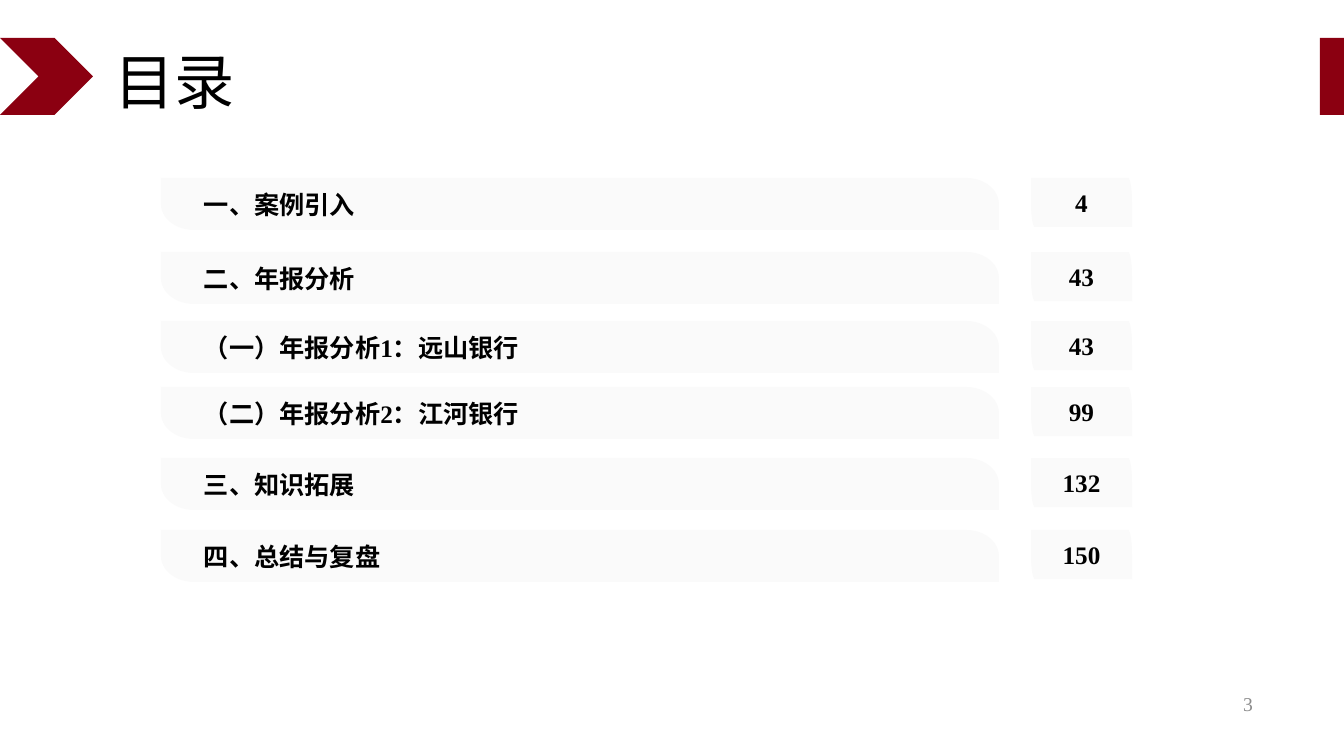
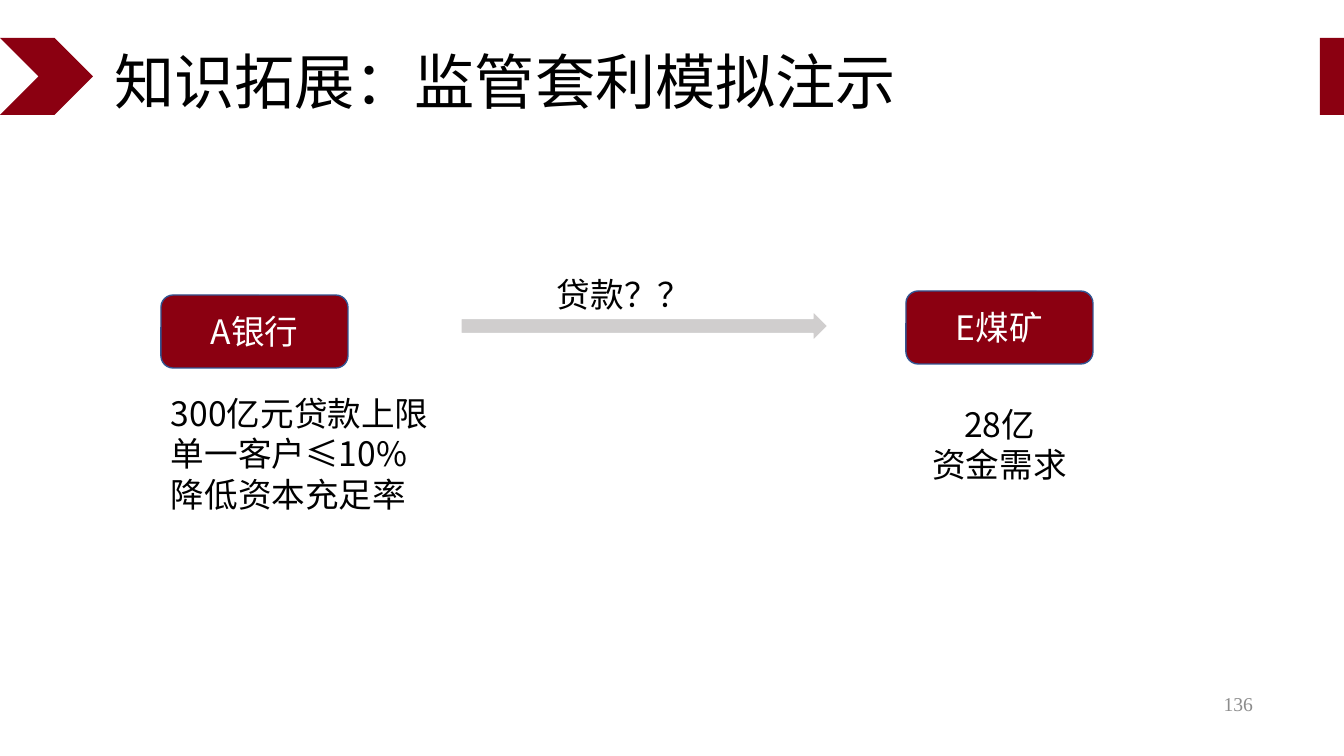
from math import cos, sin, pi
from pptx import Presentation
from pptx.dml.color import RGBColor
from pptx.enum.shapes import MSO_SHAPE as Kind
from pptx.enum.text import MSO_ANCHOR as Anchor, PP_ALIGN as Align
from pptx.oxml.ns import qn
from pptx.util import Pt
from lxml.etree import SubElement as Sub

WIDE, HIGH = 1344, 756
UNIT = 12192000 / WIDE
RED, BLUE, PALE, GREY = "8B0011", "325491", "FAFAFA", "D0CECE"
BLACK, WHITE, DIM = "000000", "FFFFFF", "8C8C8C"
SERIF, SANS = "Times New Roman", "Noto Sans CJK SC"


def px(n):
    return round(n * UNIT)


def hue(code):
    return RGBColor.from_string(code)


def write(shape, lines, size, color=BLACK, face=SANS, bold=False,
          align=Align.LEFT, mid=True, pad=(10, 5, 10, 5), space=None):
    frame = shape.text_frame
    frame.word_wrap = True
    frame.vertical_anchor = Anchor.MIDDLE if mid else Anchor.TOP
    (frame.margin_left, frame.margin_top,
     frame.margin_right, frame.margin_bottom) = map(px, pad)
    for i, line in enumerate(lines):
        para = frame.add_paragraph() if i else frame.paragraphs[0]
        para.alignment = align
        if space:
            para.line_spacing = space
        run = para.add_run()
        run.text = line
        font = run.font
        font.size, font.bold, font.name = Pt(size), bold, face
        font.color.rgb = hue(color)
        Sub(font._element, qn("a:ea")).set("typeface", SANS)


def paint(shape, fill, edge=None):
    shape.shadow.inherit = False
    shape.fill.solid()
    shape.fill.fore_color.rgb = hue(fill)
    if edge:
        shape.line.color.rgb = hue(edge)
        shape.line.width = Pt(1)
    else:
        shape.line.fill.background()
    return shape


def draw(slide, kind, box, fill, edge=None):
    return paint(slide.shapes.add_shape(kind, *map(px, box)), fill, edge)


def note(slide, box, lines, size=24, **style):
    write(slide.shapes.add_textbox(*map(px, box)), lines, size, **style)


def leaf(slide, box, curve):
    """Bar with its top right and bottom left corners rounded."""
    x, y, w, h = box
    rise = h / 2
    turns = [i * pi / 24 for i in range(13)]
    right = [(x + w - curve + curve * sin(t), y + rise - rise * cos(t))
             for t in turns]
    left = [(2 * x + w - a, 2 * y + h - b) for a, b in right]
    dots = [(px(a), px(b)) for a, b in
            [(x, y)] + right + [(x + w, y + h)] + left]
    pen = slide.shapes.build_freeform(*dots[0], scale=1.0)
    pen.add_line_segments(dots[1:], close=True)
    return paint(pen.convert_to_shape(), PALE)


# Shared frame: red marks, title, page number
def start(deck, title, page):
    slide = deck.slides.add_slide(deck.slide_layouts[5])
    draw(slide, Kind.CHEVRON, (0, 38, 93, 77), RED)
    draw(slide, Kind.RECTANGLE, (WIDE - 24, 38, 24, 77), RED)
    head = slide.shapes.title
    head.left, head.top, head.width, head.height = map(px, (104, 40, 929, 91))
    write(head, [title], 43, face=SERIF, space=0.9)
    note(slide, (961, 684, 302, 40), [page], 14, color=DIM, face=SERIF,
         align=Align.RIGHT)
    return slide


# One contents row: heading bar and page tag
def entry(slide, x, y, name, page):
    bar = leaf(slide, (x, y, 838, 52), 33)
    write(bar, [name], 18, face=SERIF, bold=True, pad=(43, 4, 7, 4))
    tag = leaf(slide, (x + 870, y, 101, 49), 4)
    write(tag, [page], 18, face=SERIF, bold=True, align=Align.CENTER,
          pad=(0, 0, 0, 0))


def agenda(deck):
    slide = start(deck, "目录", "3")
    for y, name, page in [
            (178, "一、案例引入", "4"),
            (252, "二、年报分析", "43"),
            (321, "（一）年报分析1：远山银行", "43"),
            (387, "（二）年报分析2：江河银行", "99"),
            (458, "三、知识拓展", "132"),
            (530, "四、总结与复盘", "150")]:
        entry(slide, 161, y, name, page)


# One party: red box with facts below
def party(slide, x, y, name, shift, drop, facts, align):
    box = draw(slide, Kind.ROUNDED_RECTANGLE, (x, y, 187, 73), RED, BLUE)
    write(box, [name], 24, color=WHITE, align=Align.CENTER)
    note(slide, (x + shift, y + drop, 329, 10 + 41 * len(facts)), facts,
         align=align, mid=False)


def loan(deck):
    slide = start(deck, "知识拓展：监管套利模拟注示", "136")
    party(slide, 161, 295, "A银行", 0, 93,
          ["300亿元贷款上限", "单一客户≤10%", "降低资本充足率"], Align.LEFT)
    party(slide, 906, 291, "E煤矿", -71, 108,
          ["28亿", "资金需求"], Align.CENTER)
    # Loan arrow and its label
    draw(slide, Kind.RIGHT_ARROW, (461, 311, 367, 30), GREY, WHITE)
    note(slide, (547, 269, 317, 50), ["贷款？？"], mid=False)


def main():
    deck = Presentation()
    deck.slide_width, deck.slide_height = px(WIDE), px(HIGH)
    agenda(deck)
    loan(deck)
    deck.save("out.pptx")


if __name__ == "__main__":
    main()
